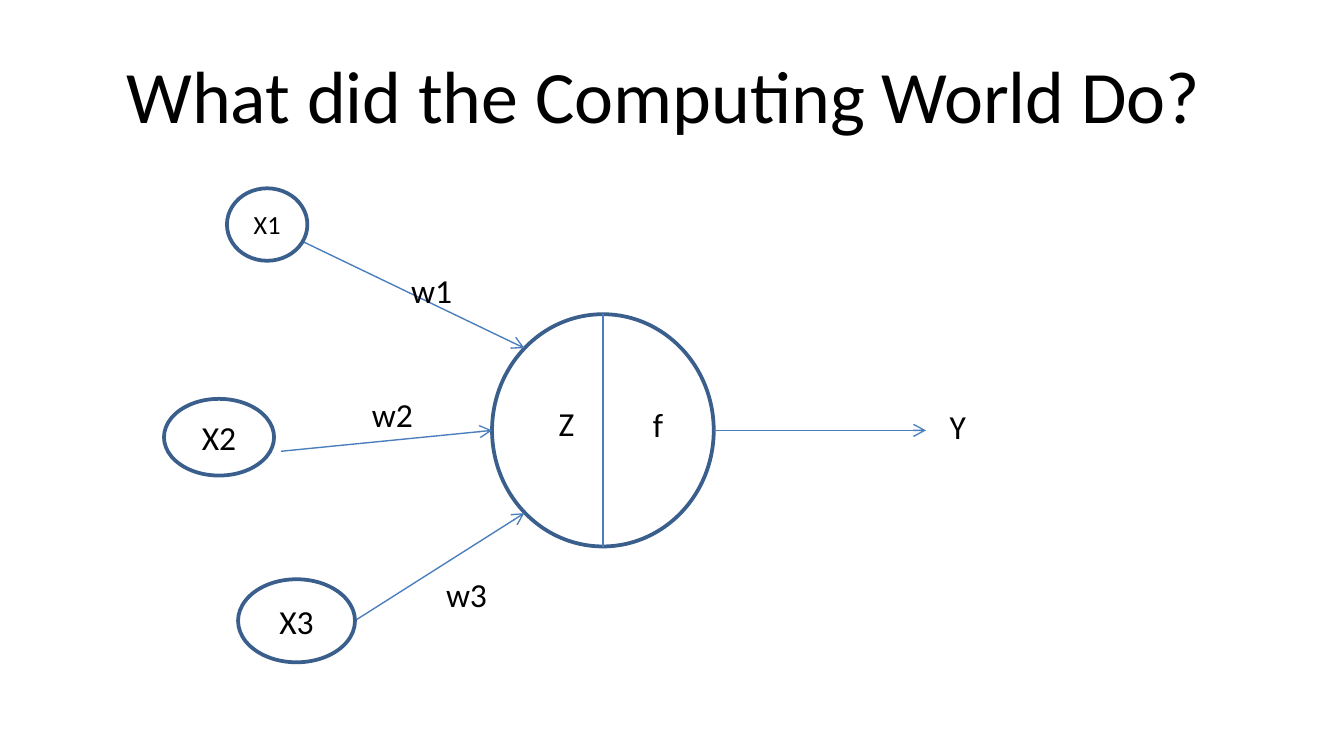
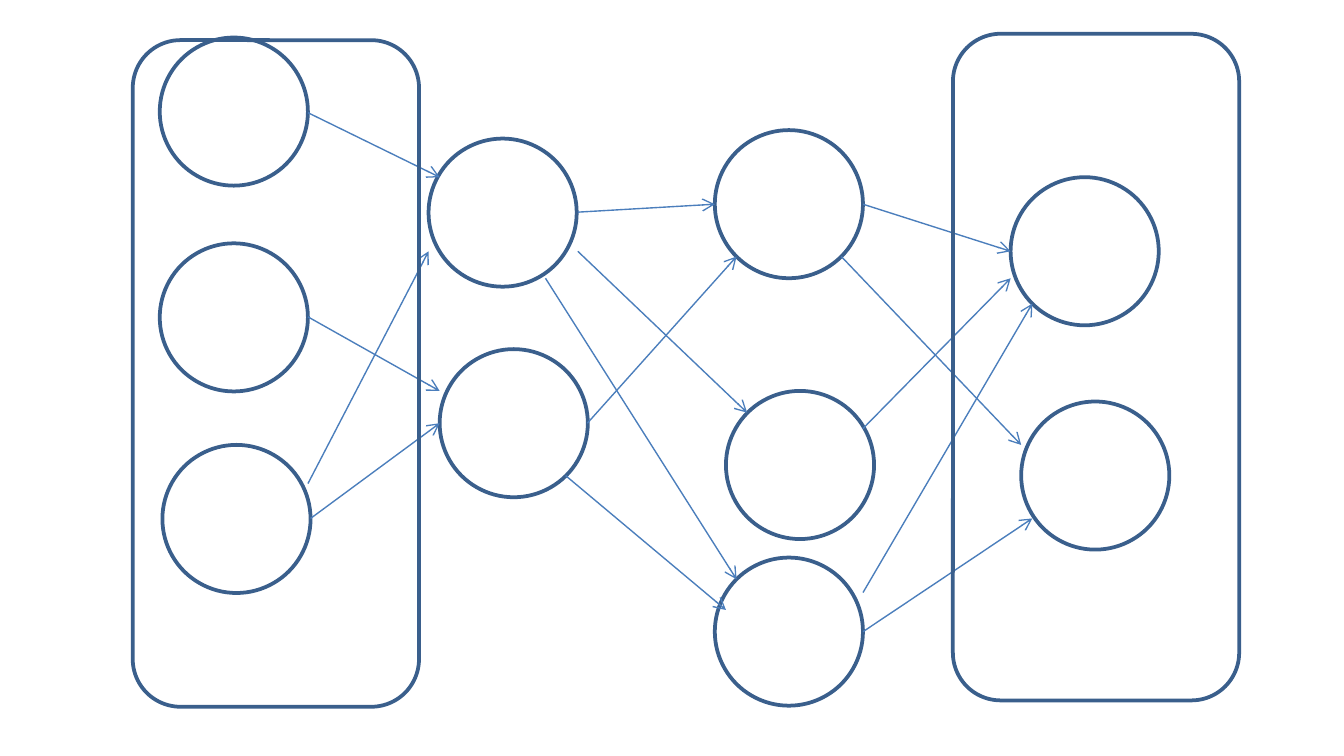
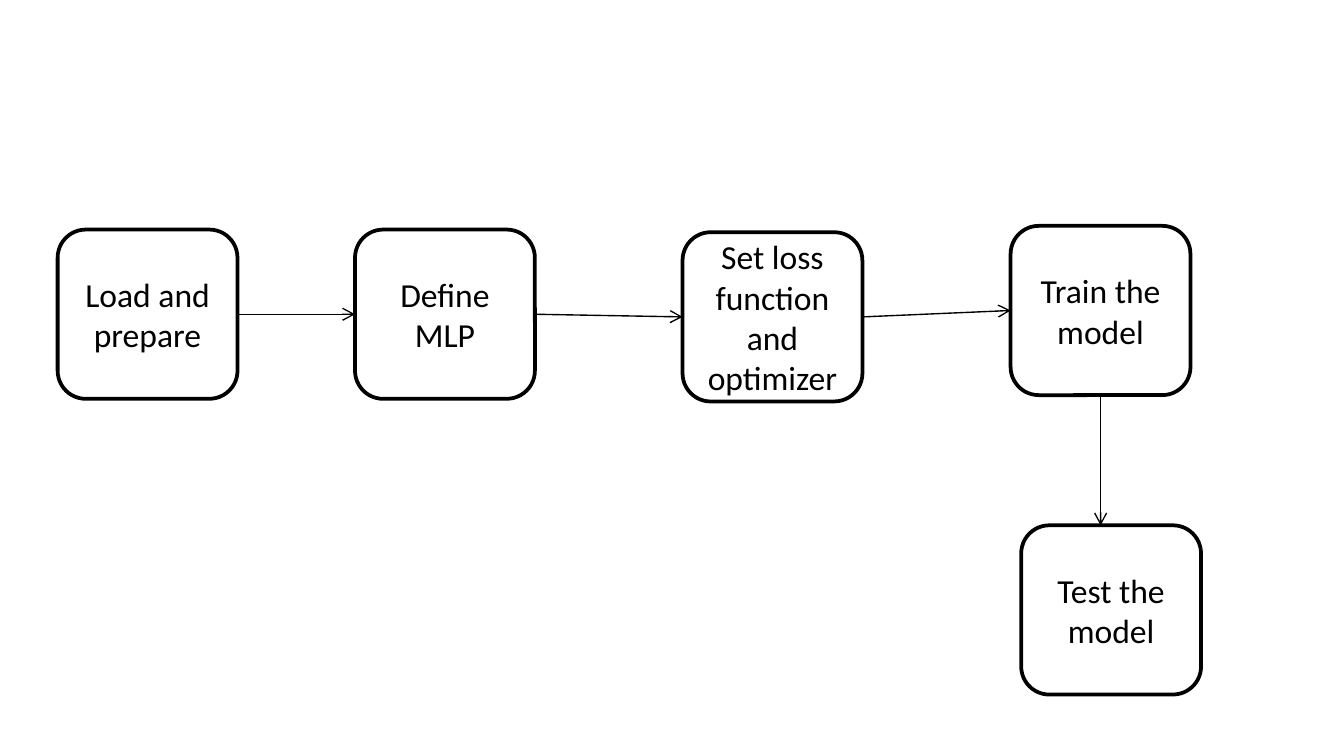
from dataclasses import dataclass
from typing import Any

from lxml.etree import SubElement
from pptx import Presentation
from pptx.dml.color import RGBColor
from pptx.enum.shapes import MSO_CONNECTOR as Connector, MSO_SHAPE as Shape
from pptx.enum.text import MSO_ANCHOR as Anchor, PP_ALIGN as Align
from pptx.oxml.ns import qn
from pptx.util import Cm, Pt

COLORS = {"paper": "FFFFFF", "ink": "000000", "outline": "3A5F8C", "link": "4B7EBC"}
FONT = "Calibri"
TITLE_ONLY, BLANK = 5, 6
TOP, LEFT, BOTTOM, RIGHT = range(4)


def color(name):
    return RGBColor.from_string(COLORS[name])


def write(shape, text, size, align):
    """Set one paragraph of text in the shared font."""
    shape.text_frame.text = text
    paragraph = shape.text_frame.paragraphs[0]
    paragraph.alignment = align
    for run in paragraph.runs:
        run.font.name = FONT
        run.font.size = Pt(size)
        run.font.color.rgb = color("ink")


@dataclass
class Region:
    """Part of a slide; everything in it is placed from its corner, in cm."""
    slide: Any
    left: float
    top: float

    def point(self, x, y):
        return Cm(self.left + x), Cm(self.top + y)

    def outline(self, kind, x, y, width, height, text="", size=18,
                line="outline", filled=True):
        shape = self.slide.shapes.add_shape(
            kind, *self.point(x, y), Cm(width), Cm(height))
        shape.shadow.inherit = False
        if filled:
            shape.fill.solid()
            shape.fill.fore_color.rgb = color("paper")
        else:
            shape.fill.background()
        shape.line.color.rgb = color(line)
        shape.line.width = Pt(2)
        if text:
            shape.text_frame.vertical_anchor = Anchor.MIDDLE
            write(shape, text, size, Align.CENTER)
        return shape

    def link(self, start, end, line="link", arrow=True):
        connector = self.slide.shapes.add_connector(
            Connector.STRAIGHT, *self.point(*start), *self.point(*end))
        connector.line.color.rgb = color(line)
        connector.line.width = Pt(0.75)
        properties = connector._element.spPr
        if arrow:
            SubElement(properties.find(qn("a:ln")), qn("a:tailEnd"), type="arrow")
        SubElement(properties, qn("a:effectLst"))
        return connector

    def label(self, text, x, y, width):
        box = self.slide.shapes.add_textbox(*self.point(x, y), Cm(width), Cm(1.02))
        box.text_frame.word_wrap = True
        write(box, text, 18, Align.LEFT)


def add_title(slide, text):
    title = slide.shapes.title
    title.left, title.top, title.width, title.height = (
        Cm(1.27), Cm(0.58), Cm(22.86), Cm(2.39))
    title.text_frame.vertical_anchor = Anchor.MIDDLE
    write(title, text, 39.6, Align.CENTER)


def draw_neuron(region):
    # Cell body, split into sum and activation
    x, y, width, height = 6.2, 2.38, 4.19, 4.39
    center_x, center_y = x + width / 2, y + height / 2
    region.outline(Shape.OVAL, x, y, width, height)
    region.link((center_x, y), (center_x, y + height), arrow=False)

    # Weighted inputs and the output
    for start, end in (
        ((2.59, 0.99), (6.81, 3.02)),
        ((2.21, 4.97), (x, center_y)),
        ((3.61, 8.17), (6.81, 6.14)),
        ((x + width, center_y), (14.4, center_y)),
    ):
        region.link(start, end)
    for text, left, top, input_width, input_height, size in (
        ("X1", 1.19, 0, 1.52, 1.37, 14),
        ("X2", 0, 3.98, 2.08, 1.45, 18),
        ("X3", 1.4, 7.39, 2.21, 1.57, 18),
    ):
        region.outline(Shape.OVAL, left, top, input_width, input_height, text, size)

    # Labels
    for text, left, top, label_width in (
        ("w1", 4.42, 1.42, 1.4),
        ("w2", 3.68, 3.76, 1.4),
        ("w3", 5.08, 7.16, 1.4),
        ("Z", 7.21, 3.93, 0.61),
        ("f", 8.99, 3.96, 0.61),
        ("Y", 14.6, 3.98, 0.99),
    ):
        region.label(text, left, top, label_width)


def draw_network(region):
    diameter = 2.8
    layers = (
        ((0.51, 0.07), (0.51, 3.96), (0.56, 7.77)),
        ((5.59, 1.98), (5.8, 5.96)),
        ((11, 1.82), (11.21, 6.75), (11, 9.9)),
        ((16.59, 2.71), (16.79, 6.95)),
    )
    for layer in layers:
        for x, y in layer:
            region.outline(Shape.OVAL, x, y, diameter, diameter)

    links = (
        # Input to first hidden layer
        ((3.31, 1.49), (5.8, 2.71)),
        ((3.31, 5.35), (5.8, 6.75)),
        ((3.36, 9.16), (5.8, 7.36)),
        ((3.31, 8.5), (5.59, 4.11)),
        # First to second hidden layer
        ((8.41, 3.37), (11, 3.22)),
        ((8.41, 4.11), (11.61, 7.16)),
        ((8.59, 7.36), (11.41, 4.21)),
        ((7.8, 4.62), (11.41, 10.31)),
        ((8.18, 8.35), (11.21, 10.89)),
        # Second hidden layer to output
        ((13.8, 3.22), (16.59, 4.11)),
        ((13.39, 4.21), (16.79, 7.77)),
        ((13.8, 7.46), (16.59, 4.62)),
        ((13.8, 10.56), (17, 5.1)),
        ((13.8, 11.3), (17, 9.16)),
    )
    for start, end in links:
        region.link(start, end)

    # Frames around the output and input layers
    for x, y in ((15.5, 0), (0, 0.12)):
        region.outline(Shape.ROUNDED_RECTANGLE, x, y, 5.41, 12.6, filled=False)


def draw_workflow(region):
    width, height = 3.4, 3.2
    places = (
        ("Load and prepare", 0, 0.07),
        ("Define MLP", 5.62, 0.07),
        ("Set loss function and optimizer", 11.81, 0.12),
        ("Train the model", 18.01, 0),
        ("Test the model", 18.21, 5.66),
    )
    steps = [region.outline(Shape.ROUNDED_RECTANGLE, x, y, width, height, text,
                            line="ink")
             for text, x, y in places]

    # Arrows along the row
    row = list(zip(steps, places))[:4]
    for (step, (_, x, y)), (following, (_, next_x, next_y)) in zip(row, row[1:]):
        arrow = region.link((x + width, y + height / 2),
                            (next_x, next_y + height / 2), "ink")
        arrow.begin_connect(step, RIGHT)
        arrow.end_connect(following, LEFT)

    # Vertical arrow from training to testing
    train_middle = 18.01 + width / 2
    arrow = region.link((train_middle, height), (train_middle, 5.66), "ink")
    arrow.begin_connect(steps[3], BOTTOM)


def main():
    presentation = Presentation()
    presentation.slide_width, presentation.slide_height = Cm(25.4), Cm(14.29)

    def new_slide(layout):
        return presentation.slides.add_slide(presentation.slide_layouts[layout])

    neuron_slide = new_slide(TITLE_ONLY)
    add_title(neuron_slide, "What did the Computing World Do? ")
    draw_neuron(Region(neuron_slide, 3.1, 3.56))
    draw_network(Region(new_slide(BLANK), 2.51, 0.64))
    draw_workflow(Region(new_slide(BLANK), 1.09, 4.27))
    presentation.save("out.pptx")


if __name__ == "__main__":
    main()
